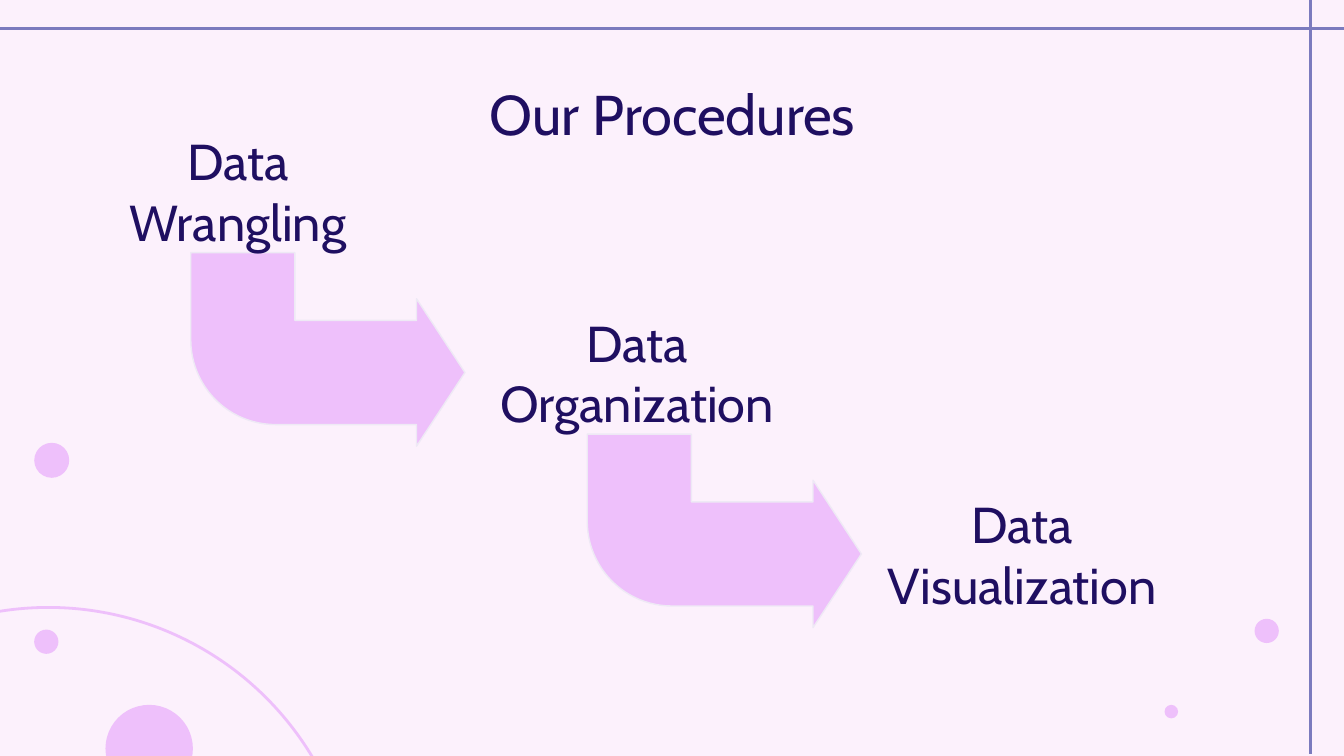
from lxml.etree import SubElement
from pptx import Presentation
from pptx.dml.color import RGBColor
from pptx.enum.shapes import MSO_CONNECTOR as Connector, MSO_SHAPE as Shape
from pptx.enum.text import MSO_ANCHOR as Anchor, PP_ALIGN as Align
from pptx.oxml.ns import qn
from pptx.util import Pt

PX = 9144  # EMU per px, 100 px to the inch
WIDTH, HEIGHT = 1000, 562
FONT = "Cabin"
COLORS = {
    "background": "FCF1FC",
    "rule": "7B7BBE",
    "lilac": "EEC0FB",
    "arrow_edge": "EEE9F5",
    "ink": "1F0F61",
}


def color(name):
    return RGBColor.from_string(COLORS[name])


def emu(*lengths):
    return [length * PX for length in lengths]


def add_rule(slide, start, end):
    rule = slide.shapes.add_connector(Connector.STRAIGHT, *emu(*start, *end))
    rule.line.color.rgb = color("rule")
    rule.line.width = Pt(1.5)
    SubElement(rule.element.spPr, qn("a:effectLst"))


def add_outlined(slide, kind, box, edge, weight, fill="lilac"):
    shape = slide.shapes.add_shape(kind, *emu(*box))
    shape.shadow.inherit = False
    if fill:
        shape.fill.solid()
        shape.fill.fore_color.rgb = color(fill)
    else:
        shape.fill.background()
    shape.line.color.rgb = color(edge)
    shape.line.width = Pt(weight)
    return shape


def add_label(slide, box, wording, size, anchor):
    frame = slide.shapes.add_textbox(*emu(*box)).text_frame
    frame.word_wrap = True
    frame.vertical_anchor = anchor
    (frame.margin_left, frame.margin_top,
     frame.margin_right, frame.margin_bottom) = emu(10, 10, 10, 10)
    label = frame.paragraphs[0]
    label.text = wording
    label.alignment = Align.CENTER
    label.font.name = FONT
    label.font.size = Pt(size)
    label.font.color.rgb = color("ink")


def add_backdrop(slide, box):
    left, top, width, height = box
    slide.background.fill.solid()
    slide.background.fill.fore_color.rgb = color("background")

    # Crossing rules near the right and top edges
    rule_x, rule_y = left + 975, top + 21
    add_rule(slide, (rule_x, top + height - 1), (rule_x, top - 1))
    add_rule(slide, (left, rule_y), (left + width + 5, rule_y))

    # Large ring and scattered dots
    add_outlined(slide, Shape.OVAL, (left - 193, top + 452, 458, 458),
                 "lilac", 1.5, fill=None)
    dots = [(26, 469, 17), (79, 525, 64), (26, 330, 25),
            (934, 461, 17), (867, 525, 9)]
    for x, y, diameter in dots:
        add_outlined(slide, Shape.OVAL,
                     (left + x, top + y, diameter, diameter), "lilac", 0.75)


def add_step_arrow(slide, box):
    arrow = add_outlined(slide, Shape.BENT_ARROW, box, "arrow_edge", 0.75)
    for index, value in enumerate((0.538, 0.381, 0.25, 0.438)):
        arrow.adjustments[index] = value
    # Turned and mirrored, so that it runs down and then right
    arrow.rotation = 180
    arrow.element.spPr.find(qn("a:xfrm")).set("flipH", "1")


def add_staircase(slide, box):
    left, top, _, _ = box
    for step in range(2):
        add_step_arrow(slide, (left + 84 + 295 * step,
                               top + 101 + 135 * step, 204, 144))

    steps = [("Data Wrangling", 0, 0, 238, 110),
             ("Data Organization", 266, 120, 300, 125),
             ("Data Visualization", 561, 255, 283, 125)]
    for wording, x, y, width, height in steps:
        add_label(slide, (left + x, top + y, width, height),
                  wording, 27, Anchor.BOTTOM)


def main():
    deck = Presentation()
    deck.slide_width = WIDTH * PX
    deck.slide_height = deck.slide_width * 9 // 16
    slide = deck.slides.add_slide(deck.slide_layouts[6])
    add_backdrop(slide, (0, 0, WIDTH, HEIGHT))
    add_label(slide, (79, 49, 843, 63), "Our Procedures", 30, Anchor.TOP)
    add_staircase(slide, (58, 87, 844, 380))
    deck.save("out.pptx")


if __name__ == "__main__":
    main()
